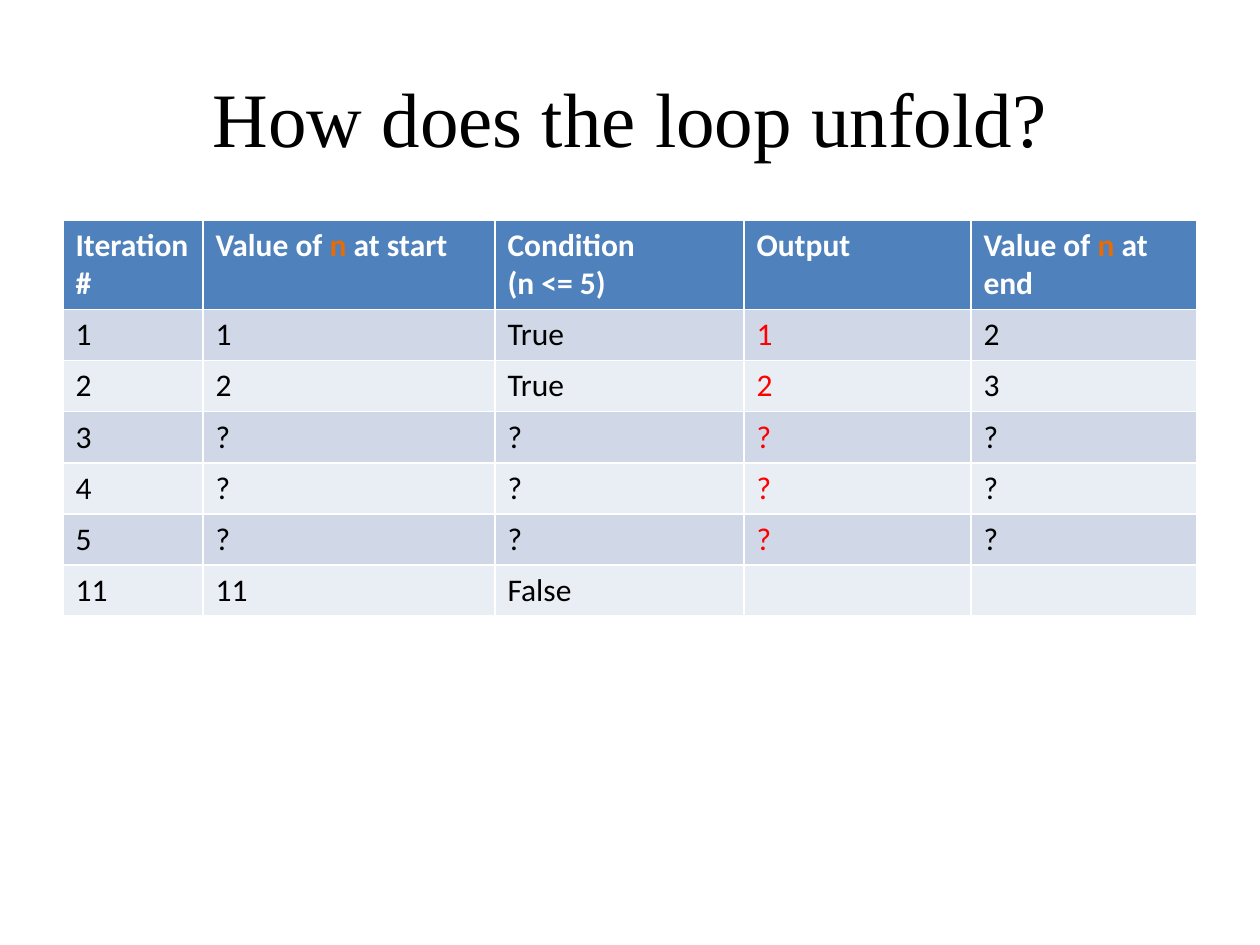
from pptx import Presentation
from pptx.dml.color import RGBColor
from pptx.enum.text import MSO_ANCHOR, PP_ALIGN
from pptx.util import Pt

EMU_PER_PX = 914400 / 126
CENTER = PP_ALIGN.CENTER
MIDDLE = MSO_ANCHOR.MIDDLE
TITLE_ONLY = 5

COLORS = {
    "black": "000000",
    "white": "FFFFFF",
    "header": "4F81BD",
    "band_dark": "D0D8E8",
    "band_light": "E9EDF4",
    "variable": "E46C0A",
    "output": "FF0000",
}

COLUMN_WIDTHS = [140, 292, 249, 227, 226]
ROW_HEIGHT = 51
OUTPUT_COLUMN = 3

# Each header is a list of paragraphs; each paragraph is a list of runs
HEADERS = [
    [["Iteration #"]],
    [["Value of ", "n", " at start"]],
    [["Condition"], ["(n <= 5)"]],
    [["Output"]],
    [["Value of ", "n", " at end"]],
]
ROWS = [
    ["1", "1", "True", "1", "2"],
    ["2", "2", "True", "2", "3"],
    *[[number, "?", "?", "?", "?"] for number in "345"],
    ["11", "11", "False", "", ""],
]


def px(n):
    return round(n * EMU_PER_PX)


def rgb(name):
    return RGBColor.from_string(COLORS[name])


class Deck:
    title_font = "Times New Roman"
    body_font = "Calibri"

    def __init__(self, width, height):
        self.prs = Presentation()
        self.prs.slide_width, self.prs.slide_height = px(width), px(height)
        self.s = self.prs.slides.add_slide(self.prs.slide_layouts[TITLE_ONLY])

    def set_font(self, p, name, size, color, bold=False):
        p.font.name, p.font.size, p.font.bold = name, Pt(size), bold
        p.font.color.rgb = rgb(color)

    def title(self, text, x, y, w, h):
        sp = self.s.shapes.title
        sp.left, sp.top, sp.width, sp.height = map(px, (x, y, w, h))
        tf = sp.text_frame
        tf.text = text
        tf.vertical_anchor = MIDDLE
        p = tf.paragraphs[0]
        p.alignment = CENTER
        self.set_font(p, self.title_font, 44, "black")

    def cell(self, cell, paragraphs, fill, color, bold=False):
        cell.fill.solid()
        cell.fill.fore_color.rgb = rgb(fill)
        tf = cell.text_frame
        for i, runs in enumerate(paragraphs):
            p = tf.add_paragraph() if i else tf.paragraphs[0]
            self.set_font(p, self.body_font, 18, color, bold)
            for text in filter(None, runs):
                r = p.add_run()
                r.text = text
                if text == "n":
                    r.font.color.rgb = rgb("variable")

    def table(self, headers, rows, x, y, h):
        frame = self.s.shapes.add_table(
            len(rows) + 1, len(headers), px(x), px(y), px(sum(COLUMN_WIDTHS)), px(h))
        table = frame.table
        for column, width in zip(table.columns, COLUMN_WIDTHS):
            column.width = px(width)
        for row in table.rows:
            row.height = px(ROW_HEIGHT)
        frame.height = px(h)  # the two-line header outgrows its row

        for c, paragraphs in enumerate(headers):
            self.cell(table.cell(0, c), paragraphs, "header", "white", bold=True)
        for i, values in enumerate(rows, start=1):
            band = "band_dark" if i % 2 else "band_light"
            for c, value in enumerate(values):
                color = "output" if c == OUTPUT_COLUMN else "black"
                self.cell(table.cell(i, c), [[value]], band, color)


def main():
    deck = Deck(1260, 945)
    # Title
    deck.title("How does the loop unfold?", 63, 38, 1134, 157)
    # Loop trace
    deck.table(HEADERS, ROWS, 63, 220, 394)
    deck.prs.save("out.pptx")


if __name__ == "__main__":
    main()
